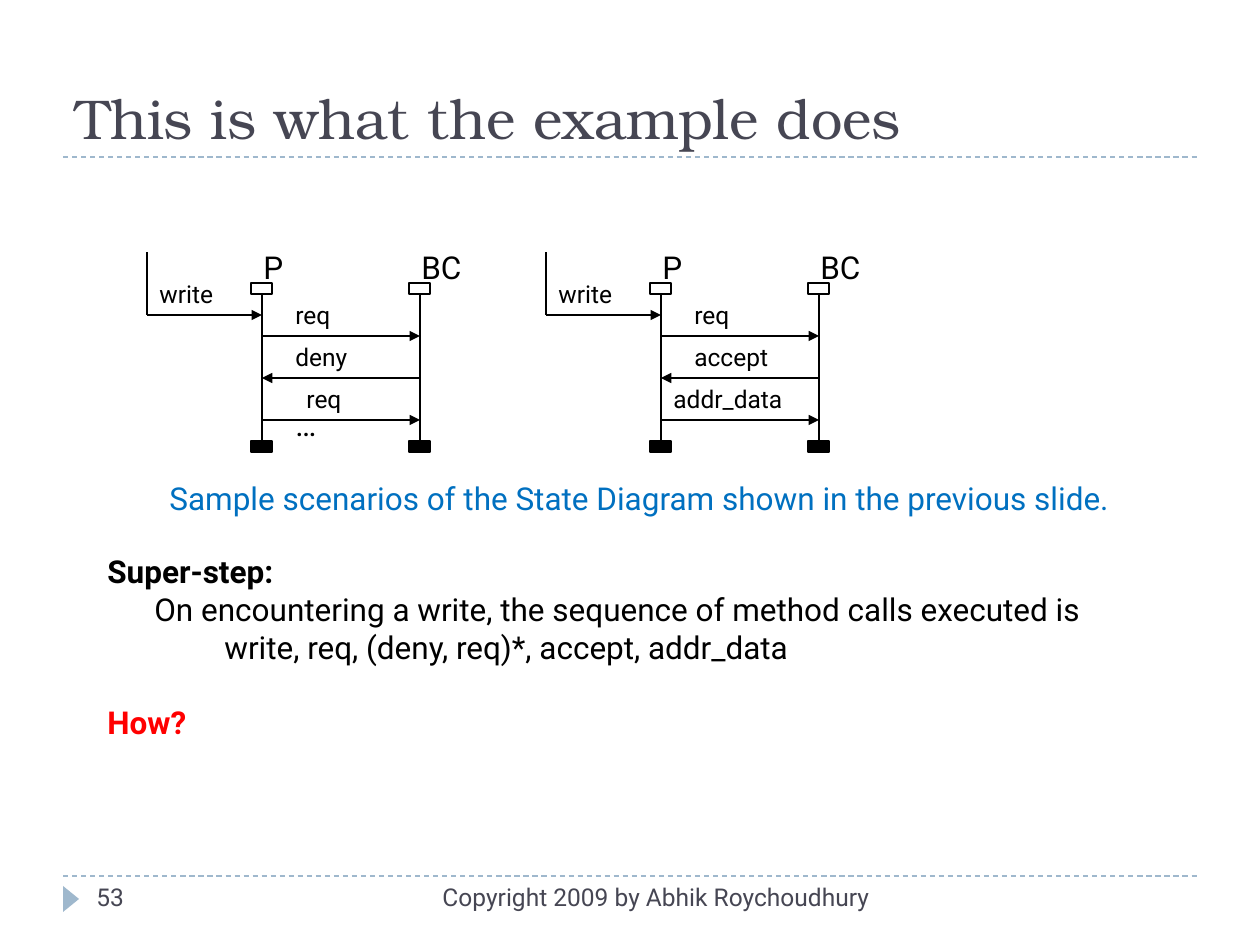
import pptx
import pptx.util
import pptx.dml.color
import pptx.enum.dml
import pptx.enum.shapes
import pptx.enum.text
import pptx.oxml.ns
import lxml.etree

COLORS = {
    "ink": "000000",
    "heading": "464653",
    "rule": "9FB8CD",
    "caption": "0070C0",
    "question": "FF0000",
}
BODY_FONT = "Roboto"
TITLE_FONT = "TeX Gyre Bonum"
ALIGN = pptx.enum.text.PP_ALIGN
ANCHOR = pptx.enum.text.MSO_ANCHOR
SHAPES = pptx.enum.shapes.MSO_SHAPE


def px(value):
    return round(value * 914400 / 126)


def color(name):
    return pptx.dml.color.RGBColor.from_string(COLORS[name])


def set_font(paragraph, size, ink="ink", name=BODY_FONT, bold=False):
    paragraph.font.size = pptx.util.Pt(size)
    paragraph.font.name = name
    paragraph.font.bold = bold
    paragraph.font.color.rgb = color(ink)


def add_box(slide, left, top, width, height):
    box = slide.shapes.add_textbox(px(left), px(top), px(width), px(height))
    box.text_frame.word_wrap = True
    return box.text_frame


def add_text(slide, text, box, size=14, ink="ink", name=BODY_FONT,
             align=ALIGN.LEFT, anchor=ANCHOR.TOP):
    frame = add_box(slide, *box)
    frame.vertical_anchor = anchor
    paragraph = frame.paragraphs[0]
    paragraph.text = text
    paragraph.alignment = align
    set_font(paragraph, size, ink, name)


def add_line(slide, start, end, ink="ink", arrow=False, dashed=False):
    connector = slide.shapes.add_connector(
        pptx.enum.shapes.MSO_CONNECTOR.STRAIGHT,
        px(start[0]), px(start[1]), px(end[0]), px(end[1]))
    connector.line.color.rgb = color(ink)
    connector.line.width = pptx.util.Pt(0.75)
    if dashed:
        connector.line.dash_style = pptx.enum.dml.MSO_LINE.DASH
    qn = pptx.oxml.ns.qn
    if arrow:
        line = connector.line._get_or_add_ln()
        lxml.etree.SubElement(line, qn("a:tailEnd"), type="triangle")
    lxml.etree.SubElement(connector._element.spPr, qn("a:effectLst"))


def add_shape(slide, kind, box, fill=None, outline=None):
    shape = slide.shapes.add_shape(kind, *map(px, box))
    shape.shadow.inherit = False
    if fill:
        shape.fill.solid()
        shape.fill.fore_color.rgb = color(fill)
    else:
        shape.fill.background()
    if outline:
        shape.line.color.rgb = color(outline)
        shape.line.width = pptx.util.Pt(0.75)
    else:
        shape.line.fill.background()
    return shape


def add_title(slide, left, top, width, height):
    bottom = top + height
    add_line(slide, (left, bottom), (left + width, bottom), "rule", dashed=True)
    add_text(slide, "This is what the example does", (left, top, width, height),
             32, "heading", TITLE_FONT, anchor=ANCHOR.BOTTOM)


def add_footer(slide, left, top, width, height):
    add_line(slide, (left, top), (left + width, top), "rule", dashed=True)
    marker = add_shape(slide, SHAPES.ISOSCELES_TRIANGLE,
                       (left - 5, top + 15, 26, 16), "rule")
    marker.rotation = 90
    add_text(slide, "53", (left + 21, top, 273, height), ink="heading")
    add_text(slide, "Copyright 2009 by Abhik Roychoudhury",
             (left + 336, top, 483, height), ink="heading", align=ALIGN.RIGHT)


def add_sequence(slide, left, top, messages):
    processor, controller = left + 115, left + 273
    head, foot, step = top + 31, top + 189, 42
    for name, center, width in (("P", processor, 63), ("BC", controller, 84)):
        add_line(slide, (center, top + step), (center, foot))
        add_shape(slide, SHAPES.RECTANGLE, (center - 11, head, 21, 11),
                  outline="ink")
        add_shape(slide, SHAPES.RECTANGLE, (center - 11, foot, 21, 11),
                  "ink", "ink")
        add_text(slide, name, (center - 11, top - 10, width, 50), 18)

    entry = top + 63
    add_line(slide, (left, top), (left, entry))
    add_line(slide, (left, entry), (processor, entry), arrow=True)
    add_text(slide, "write", (left, entry - step, 95, 43))

    for row, (label, offset, width) in enumerate(messages, 2):
        y = top + row * step
        ends = [(processor, y), (controller, y)]
        if row == 3:
            ends.reverse()
        add_line(slide, *ends, arrow=True)
        add_text(slide, label, (processor + offset, y - step, width, 43))


def add_explanation(slide, left, top, width, height):
    lines = [
        ("Super-step:", 0, "ink", True, 0),
        ("On encountering a write, the sequence of method calls executed is",
         47, "ink", False, 0),
        ("write, req, (deny, req)*, accept, addr_data", 117, "ink", False, 0),
        ("How?", 0, "question", True, 21.5),
    ]
    frame = add_box(slide, left, top, width, height)
    for index, (text, indent, ink, bold, gap) in enumerate(lines):
        paragraph = frame.add_paragraph() if index else frame.paragraphs[0]
        paragraph.text = text
        paragraph._p.get_or_add_pPr().set("marL", str(px(indent)))
        if gap:
            paragraph.space_before = pptx.util.Pt(gap)
        set_font(paragraph, 18, ink, bold=bold)


def main():
    presentation = pptx.Presentation()
    presentation.slide_width, presentation.slide_height = px(1260), px(945)
    slide = presentation.slides.add_slide(presentation.slide_layouts[6])
    add_title(slide, 63, 21, 1134, 136)
    add_footer(slide, 63, 876, 1134, 50)
    add_sequence(slide, 147, 252,
                 [("req", 21, 126), ("deny", 21, 116), ("req", 32, 84)])
    add_text(slide, "…", (283, 399, 105, 50), 18)
    add_sequence(slide, 546, 252,
                 [("req", 21, 116), ("accept", 21, 136), ("addr_data", 0, 136)])
    add_text(slide,
             "Sample scenarios of the State Diagram shown in the previous slide.",
             (157, 473, 987, 88), 18, "caption")
    add_explanation(slide, 95, 546, 1071, 202)
    presentation.save("out.pptx")


if __name__ == "__main__":
    main()
